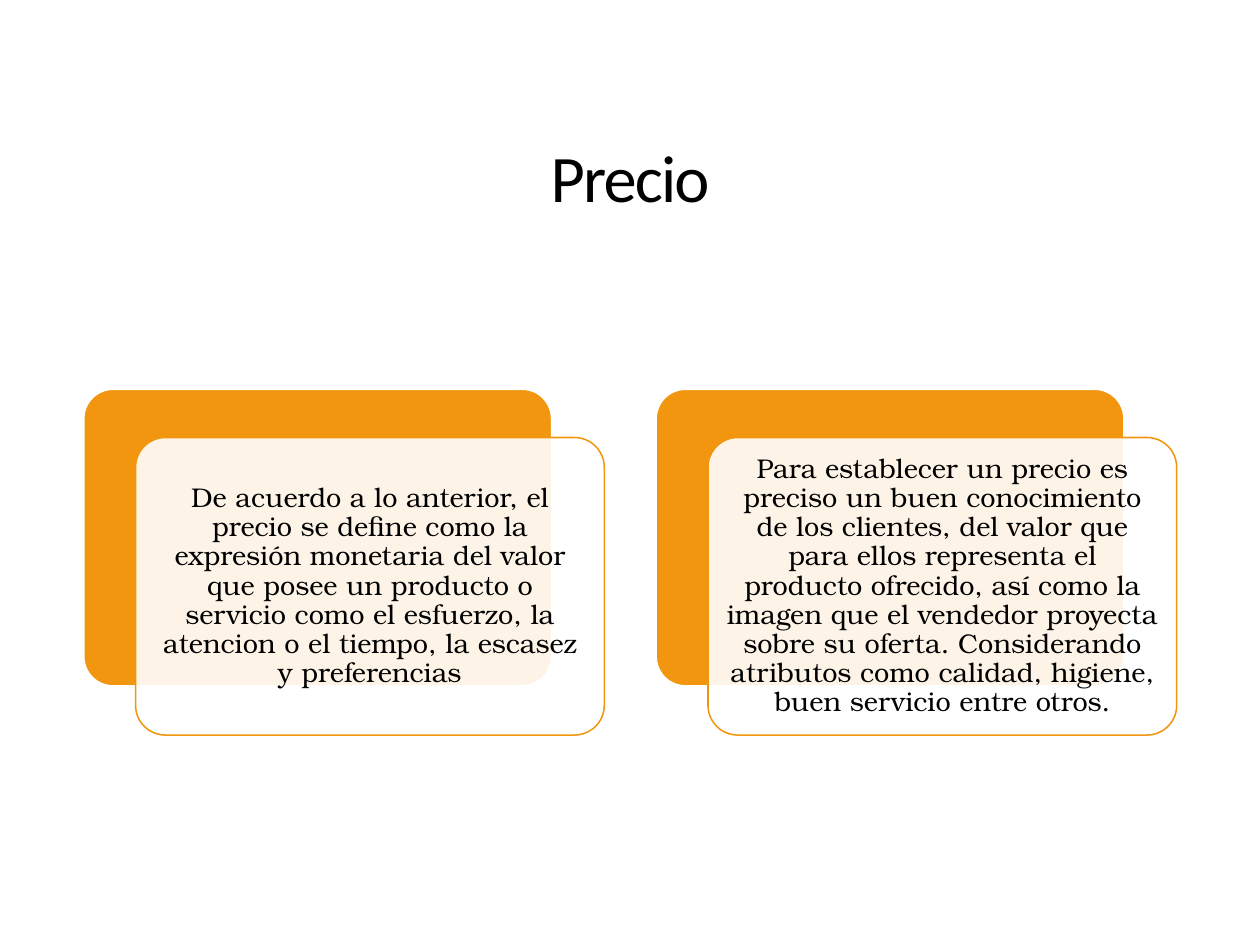
import pptx
import pptx.util
import pptx.dml.color
import pptx.enum.shapes
import pptx.enum.text
import pptx.oxml.ns
from lxml import etree

Inches = pptx.util.Inches
Pt = pptx.util.Pt
RGBColor = pptx.dml.color.RGBColor

ORANGE = RGBColor(0xF3, 0x96, 0x0F)
WHITE = RGBColor(0xFF, 0xFF, 0xFF)
BLACK = RGBColor(0x00, 0x00, 0x00)

SLIDE_WIDTH, SLIDE_HEIGHT = 14.22, 10.67
TITLE_BOX = (2.05, 1.24, 10.12, 1.63)
CARDS_LEFT, CARDS_TOP, COLUMN_STEP = 0.94, 4.39, 6.46
PANEL_WIDTH, PANEL_HEIGHT = 5.29, 3.36
OFFSET_X, OFFSET_Y = 0.59, 0.55

CARD_TEXTS = [
    "De acuerdo a lo anterior, el precio se define como la expresión monetaria "
    "del valor que posee un producto o servicio como el esfuerzo, la atencion "
    "o el tiempo, la escasez y preferencias",
    "Para establecer un precio es preciso un buen conocimiento de los clientes, "
    "del valor que para ellos representa el producto ofrecido, así como la "
    "imagen que el vendedor proyecta sobre su oferta. Considerando atributos "
    "como calidad, higiene, buen servicio entre otros.",
]


def write_text(shape, text, font_name, size, spacing, inset):
    """Fill a shape with one centred paragraph and return its run."""
    frame = shape.text_frame
    frame.text = text
    frame.word_wrap = True
    frame.vertical_anchor = pptx.enum.text.MSO_ANCHOR.MIDDLE
    frame.margin_left = frame.margin_right = Inches(inset)
    frame.margin_top = frame.margin_bottom = Inches(inset)
    para = frame.paragraphs[0]
    para.alignment = pptx.enum.text.PP_ALIGN.CENTER
    para.line_spacing = spacing
    span = para.runs[0]
    span.font.name = font_name
    span.font.size = Pt(size)
    span.font.color.rgb = BLACK
    return span


def add_title(page, box, text):
    title = page.shapes.add_textbox(*map(Inches, box))
    span = write_text(title, text, "Calibri", 54, 0.85, 0.25)
    span.font._element.set("spc", "-150")


def add_panel(page, left, top, fill, line, line_width):
    panel = page.shapes.add_shape(
        pptx.enum.shapes.MSO_SHAPE.ROUNDED_RECTANGLE,
        Inches(left), Inches(top), Inches(PANEL_WIDTH), Inches(PANEL_HEIGHT))
    panel.adjustments[0] = 0.1
    panel.shadow.inherit = False
    panel.fill.solid()
    panel.fill.fore_color.rgb = fill
    panel.line.color.rgb = line
    panel.line.width = Pt(line_width)
    return panel


def add_card(page, left, top, text):
    # Orange panel behind, translucent text panel shifted in front
    add_panel(page, left, top, ORANGE, WHITE, 2)
    front = add_panel(page, left + OFFSET_X, top + OFFSET_Y, WHITE, ORANGE, 1.25)
    qn = pptx.oxml.ns.qn
    color = front.fill._xPr.find(qn("a:solidFill")).find(qn("a:srgbClr"))
    etree.SubElement(color, qn("a:alpha"), val="90000")
    write_text(front, text, "TeX Gyre Bonum", 22, 0.9, 0.11)


def main():
    deck = pptx.Presentation()
    deck.slide_width = Inches(SLIDE_WIDTH)
    deck.slide_height = Inches(SLIDE_HEIGHT)
    page = deck.slides.add_slide(deck.slide_layouts[6])

    add_title(page, TITLE_BOX, "Precio")
    for column, text in enumerate(CARD_TEXTS):
        add_card(page, CARDS_LEFT + column * COLUMN_STEP, CARDS_TOP, text)

    deck.save("out.pptx")


if __name__ == "__main__":
    main()
